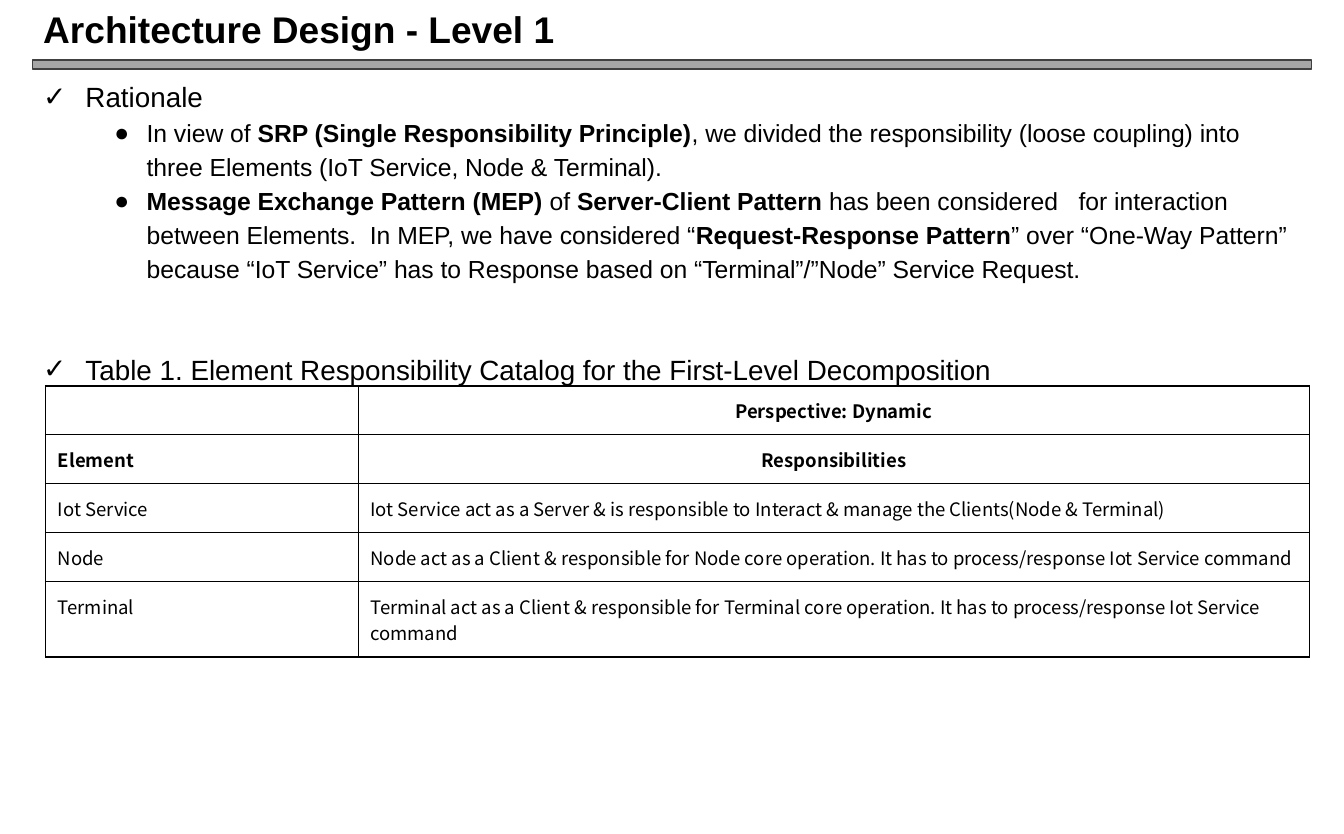
from lxml.etree import SubElement
from pptx import Presentation
from pptx.dml.color import RGBColor
from pptx.enum.shapes import MSO_SHAPE as Shape
from pptx.enum.text import MSO_ANCHOR as Anchor, PP_ALIGN as Align
from pptx.oxml.ns import qn
from pptx.util import Inches, Pt

COLORS = {"text": "000000", "rule": "A6A6A6", "rule_edge": "404040", "border": "000000"}
BODY_FONT, TABLE_FONT = "Arial", "Noto Sans CJK KR"
LEFT, WIDTH = 0.29, 11.5

# Runs are (text, bold) pairs.
RATIONALE = [
    [("In view of ", False), ("SRP (Single Responsibility Principle)", True),
     (", we divided the responsibility (loose coupling) into three Elements "
      "(IoT Service, Node & Terminal).", False)],
    [("Message Exchange Pattern (MEP)", True), (" of ", False),
     ("Server-Client Pattern", True),
     (" has been considered   for interaction between Elements.  "
      "In MEP, we have considered “", False),
     ("Request-Response Pattern", True),
     ("” over “One-Way Pattern” because “IoT Service” has to Response based on "
      "“Terminal”/”Node” Service Request.", False)],
]
CATALOG = [
    ("", "Perspective: Dynamic"),
    ("Element", "Responsibilities"),
    ("Iot Service", "Iot Service act as a Server & is responsible to Interact & manage "
                    "the Clients(Node & Terminal)"),
    ("Node", "Node act as a Client & responsible for Node core operation. "
             "It has to process/response Iot Service command"),
    ("Terminal", "Terminal act as a Client & responsible for Terminal core operation. "
                 "It has to process/response Iot Service command"),
]
HEADER_ROWS = 2


def color(name):
    return RGBColor.from_string(COLORS[name])


def write(paragraph, text, *, size, font=BODY_FONT, bold=False, align=Align.LEFT):
    paragraph.alignment = align
    run = paragraph.add_run()
    run.text = text
    run.font.size, run.font.name, run.font.bold = Pt(size), font, bold
    run.font.color.rgb = color("text")


def set_bullet(paragraph, mark, indent, hanging):
    props = paragraph._p.get_or_add_pPr()
    props.set("marL", str(Inches(indent)))
    props.set("indent", str(-Inches(hanging)))
    SubElement(props, qn("a:buFont"), typeface=BODY_FONT)
    SubElement(props, qn("a:buChar"), char=mark)


def add_frame(slide, left, top, width, height):
    frame = slide.shapes.add_textbox(
        Inches(left), Inches(top), Inches(width), Inches(height)).text_frame
    frame.word_wrap = True
    return frame


def add_heading(slide, left, top, width, height):
    """Slide title with the grey rule below it."""
    title = add_frame(slide, left, top, width, height)
    title.vertical_anchor = Anchor.MIDDLE
    title.margin_top = title.margin_bottom = Inches(0.1)
    write(title.paragraphs[0], "Architecture Design - Level 1", size=24, bold=True)

    rule = slide.shapes.add_shape(
        Shape.FLOWCHART_PROCESS, Inches(left), Inches(top + height + 0.01),
        Inches(width), Inches(0.08))
    rule.shadow.inherit = False
    rule.fill.solid()
    rule.fill.fore_color.rgb = color("rule")
    rule.line.color.rgb = color("rule_edge")
    rule.line.width = Pt(0.75)


def add_section(slide, left, top, width, height, heading, points=()):
    """Ticked heading, followed by bulleted points."""
    frame = add_frame(slide, left, top, width, height)
    header = frame.paragraphs[0]
    header.space_before = Pt(3.6)
    write(header, heading, size=18)
    set_bullet(header, "✓", 0.38, 0.38)
    for runs in points:
        point = frame.add_paragraph()
        point.line_spacing = 1.15
        for text, bold in runs:
            write(point, text, size=16, bold=bold)
        set_bullet(point, "●", 0.93, 0.29)


def set_borders(cell, **widths):
    props = cell._tc.get_or_add_tcPr()
    for position, side in enumerate(("lnL", "lnR", "lnT", "lnB")):
        line = props.makeelement(qn(f"a:{side}"), {"w": str(Pt(widths[side]))})
        fill = SubElement(line, qn("a:solidFill"))
        SubElement(fill, qn("a:srgbClr"), val=COLORS["border"])
        props.insert(position, line)


def add_catalog(slide, left, top, column_widths, row_heights):
    table = slide.shapes.add_table(
        len(row_heights), len(column_widths), Inches(left), Inches(top),
        Inches(sum(column_widths)), Inches(sum(row_heights))).table
    table.first_row = table.horz_banding = False
    for column, width in zip(table.columns, column_widths):
        column.width = Inches(width)
    last = len(CATALOG) - 1
    for r, (texts, height) in enumerate(zip(CATALOG, row_heights)):
        table.rows[r].height = Inches(height)
        for c, text in enumerate(texts):
            cell = table.cell(r, c)
            cell.fill.background()
            set_borders(cell, lnL=0.5 if c else 1, lnR=0.5 if c == 0 else 1,
                        lnT=0.5 if r == last else 1, lnB=0.5 if r == last - 1 else 1)
            if not text:
                continue
            cell.margin_left = cell.margin_right = Inches(0.11)
            cell.margin_top = cell.margin_bottom = Inches(0.1)
            is_header = r < HEADER_ROWS
            write(cell.text_frame.paragraphs[0], text, size=12, font=TABLE_FONT,
                  bold=is_header, align=Align.CENTER if is_header and c else Align.LEFT)


def main():
    deck = Presentation()
    deck.slide_width, deck.slide_height = Inches(12.08), Inches(7.5)
    slide = deck.slides.add_slide(deck.slide_layouts[6])
    add_heading(slide, LEFT, -0.01, WIDTH, 0.54)
    add_section(slide, LEFT, 0.67, WIDTH, 2.18, "Rationale", RATIONALE)
    add_section(slide, LEFT, 3.12, WIDTH, 0.47,
                "Table 1. Element Responsibility Catalog for the First-Level Decomposition")
    add_catalog(slide, 0.41, 3.47, (2.81, 8.55), [0.44] * 4 + [0.68])
    deck.save("out.pptx")


if __name__ == "__main__":
    main()
